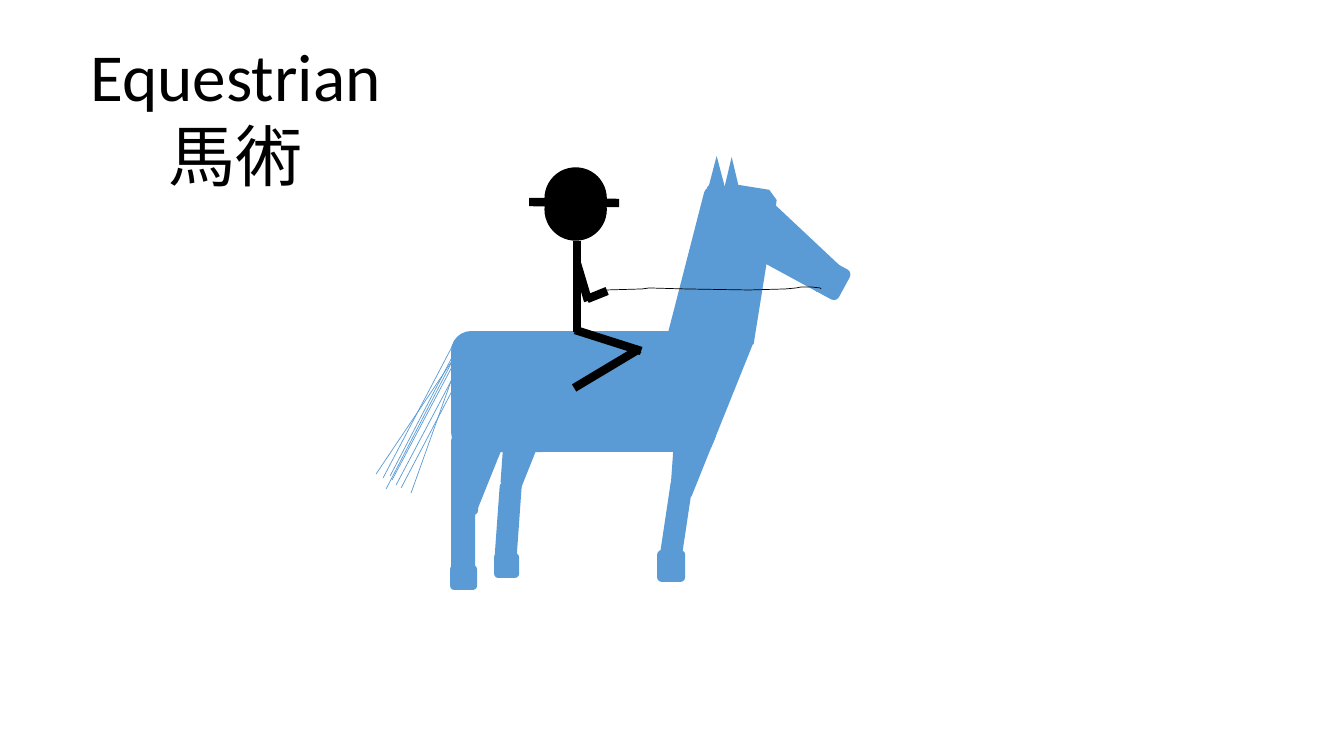
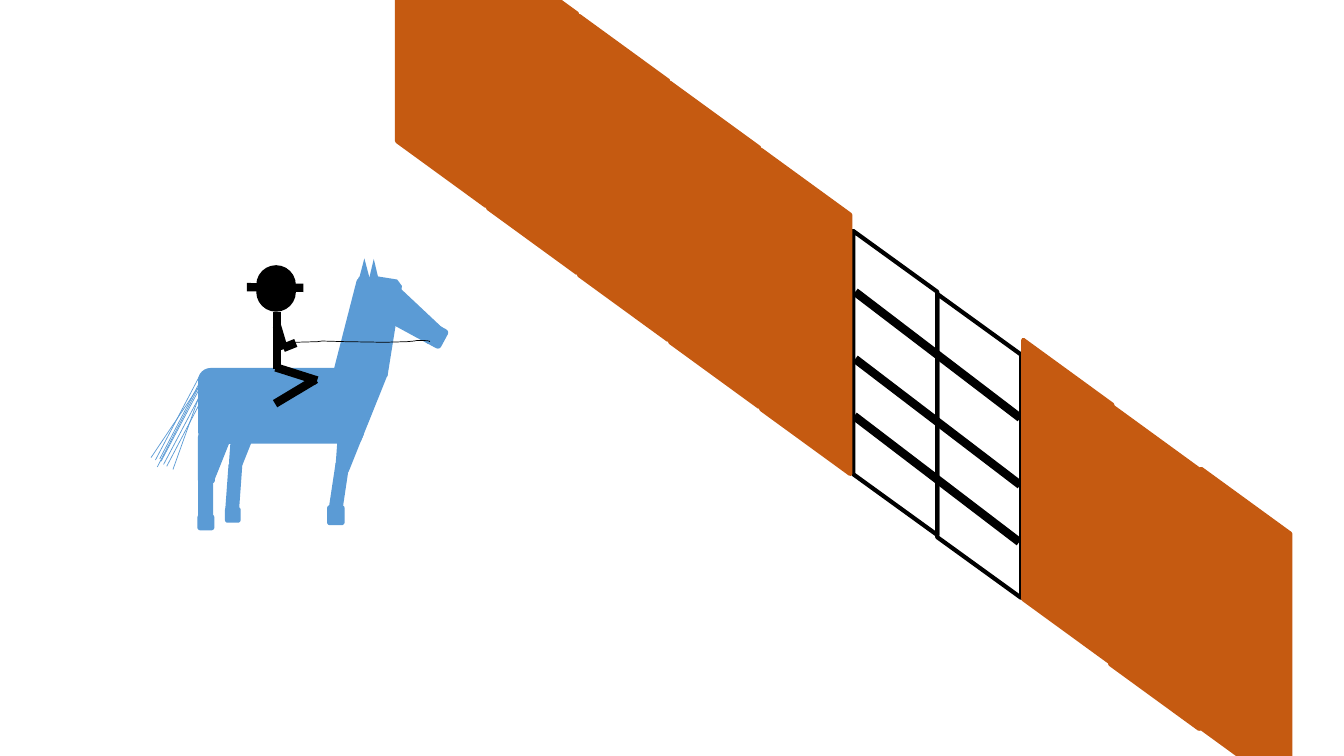
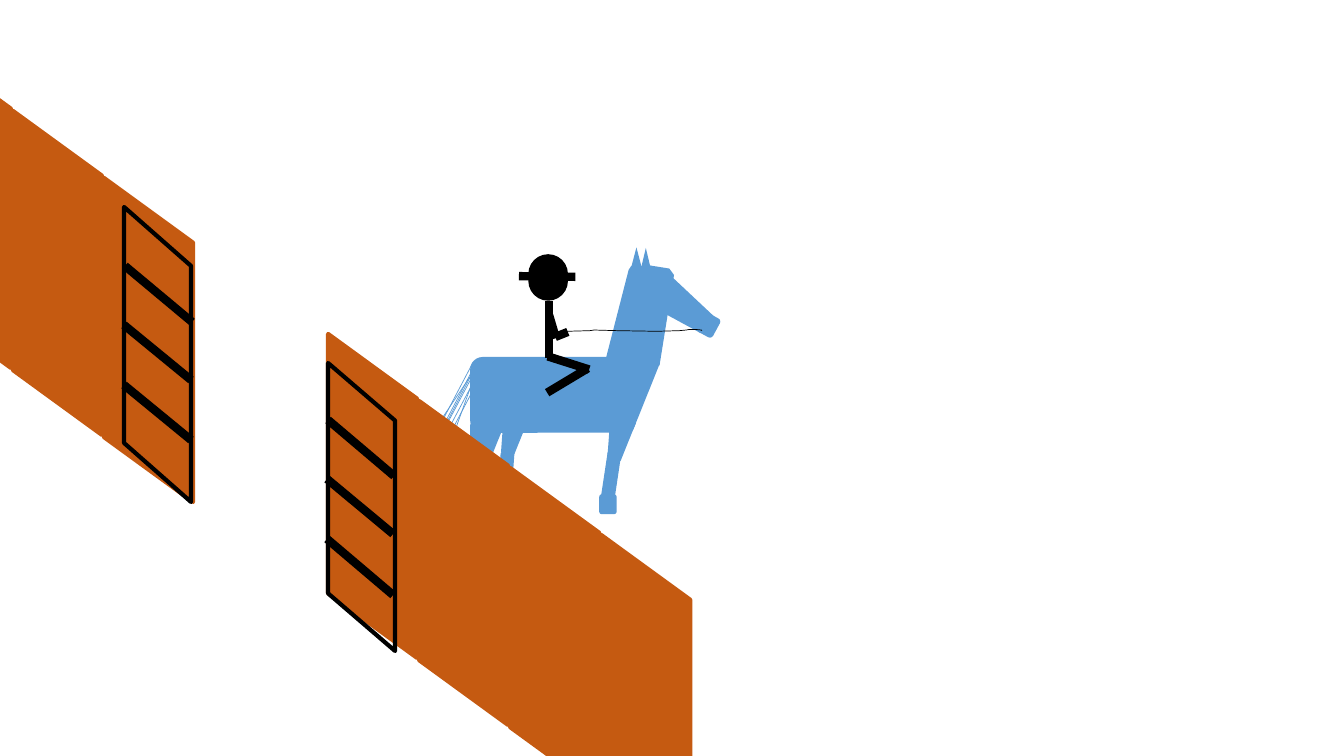
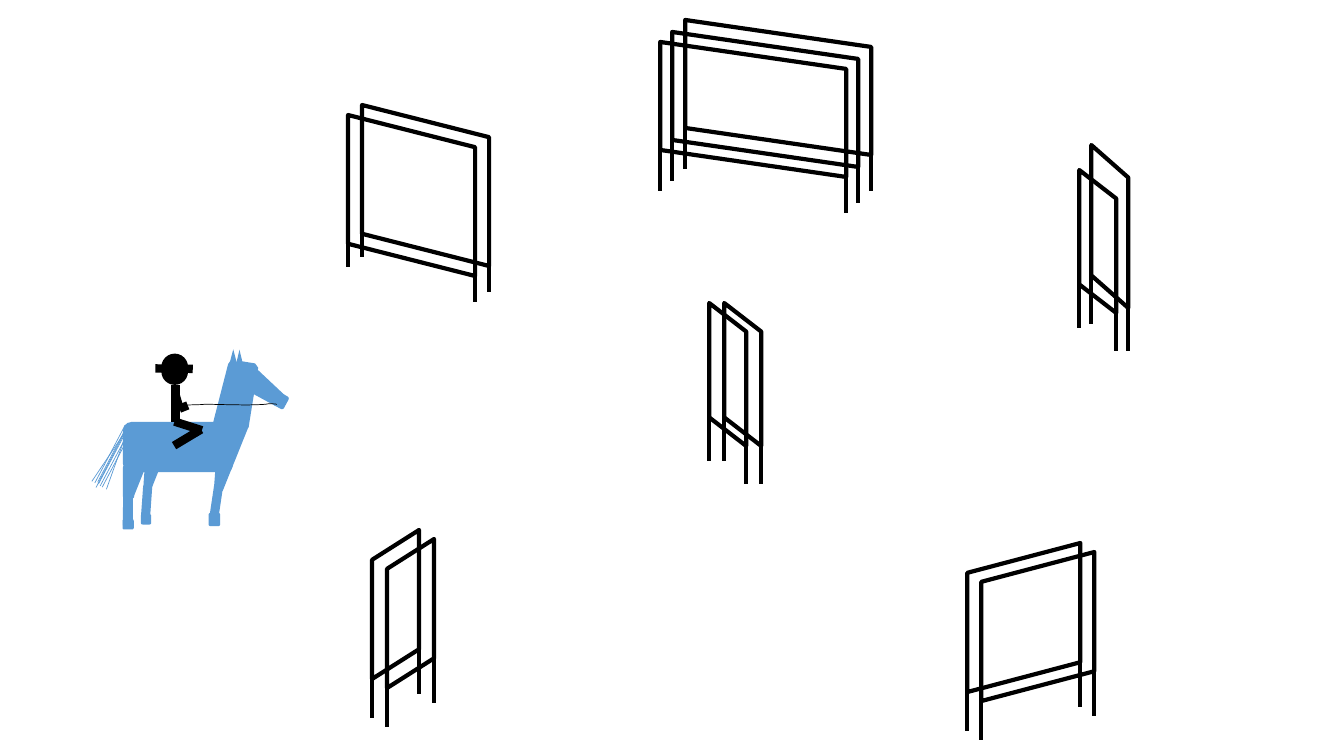
"""Build a four-slide equestrian deck: horse and rider, fences, open gate and hurdles."""
from dataclasses import dataclass

from lxml import etree
from pptx import Presentation
from pptx import util as u
from pptx.dml.color import RGBColor
from pptx.enum import shapes, text
from pptx.oxml.ns import qn


@dataclass(frozen=True)
class Theme:
    font: str = "Calibri"
    title: int = 48
    ink: str = "000000"
    horse: str = "5B9BD5"
    fence: str = "C55A11"
    hair: float = 0.5
    edge: float = 1
    frame: float = 3
    limb: float = 6


LOOK = Theme()
PX = 914400 / 100.8
KIND = shapes.MSO_SHAPE
ROUND, SNIP, EAR = KIND.ROUNDED_RECTANGLE, KIND.SNIP_2_SAME_RECTANGLE, KIND.ISOSCELES_TRIANGLE

TITLE = "Equestrian\n馬術"
TITLE_BOX = (79, 29, 313, 173)

BODY = (451, 331, 265)
HORSE = [
    (SNIP, (712, 186, 54, 155), 9.1),
    (ROUND, (451, 331, 265, 121), 0),
    (ROUND, (451, 436, 27, 79), 0),
    (ROUND, (451, 505, 24, 79), 0),
    (ROUND, (465, 431, 27, 79), 21.9),
    (ROUND, (695, 185, 34, 184), 7.4),
    (SNIP, (772, 183, 35, 119), 133.2),
    (ROUND, (767, 186, 34, 137), 298.5),
    (EAR, (706, 156, 21, 40), 0),
    (EAR, (722, 157, 19, 40), 0),
    (ROUND, (518, 422, 15, 69), 21.9),
    (ROUND, (497, 483, 22, 79), 4.1),
    (ROUND, (503, 407, 22, 79), 4.1),
    (ROUND, (682, 188, 34, 184), 14.4),
    (ROUND, (686, 322, 48, 128), 21.9),
    (ROUND, (689, 429, 15, 69), 21.9),
    (ROUND, (673, 413, 22, 79), 4.1),
    (ROUND, (665, 481, 22, 79), 8.5),
    (ROUND, (657, 550, 28, 32), 0),
    (ROUND, (494, 553, 25, 25), 0),
    (ROUND, (450, 565, 27, 25), 0),
]
TAIL = [
    (466, 339, 411, 493), (469, 347, 396, 485), (462, 338, 390, 476), (458, 350, 386, 489),
    (474, 349, 401, 488), (456, 339, 383, 478), (465, 342, 392, 480), (464, 343, 376, 474),
]
HEAD = [(545, 179, 61, 61), (545, 168, 61, 61)]
LIMBS = [
    (529, 202, 619, 203), (575, 330, 641, 351), (574, 388, 639, 349),
    (577, 264, 588, 301), (577, 241, 577, 332), (587, 299, 607, 291),
]
REIN = [
    (606, 290), (642, 289), (649, 288), (686, 289), (749, 290), (785, 289),
    (796, 288), (801, 287), (811, 287), (820, 288), (821, 289),
]

RIDES = [(451, 331, 265), (198, 368, 166), (470, 357, 166), (123, 422, 110)]

PANEL = (89, 324)
STEP = (91, 67)
NEAR_WALL = [(1023, 340), (1110, 405), (1201, 469)]
SHUT = [(853, 231, 84, 304), (937, 294, 84, 304)]
SHUT_BARS = [(855, 292, 1020, 418), (855, 359, 1020, 485), (854, 416, 1019, 542)]
OPEN = [(124, 207, 67, 295), (328, 363, 67, 288)]
OPEN_BARS = [
    (125, 266, 192, 322), (124, 325, 191, 380), (124, 385, 191, 440),
    (328, 420, 394, 476), (327, 479, 393, 534), (327, 539, 393, 595),
]

HURDLES = [
    ((127, 161), (81, 152), (110, 187), False, [(348, 115), (362, 105)]),
    ((47, 149), (116, 188), (92, 164), True, [(372, 530), (387, 539)]),
    ((37, 143), (89, 158), (112, 181), False, [(709, 303), (724, 303), (1079, 170)]),
    ((186, 135), (83, 149), (105, 171), False, [(660, 42), (672, 32), (685, 20)]),
    ((37, 163), (100, 179), (126, 206), False, [(1091, 145)]),
    ((113, 149), (116, 188), (92, 164), True, [(967, 543), (981, 552)]),
]


def emu(*vals):
    return [round(v * PX) for v in vals]


def paint(item, fill=None, line=None, width=0):
    item.shadow.inherit = False
    if fill:
        item.fill.solid()
        item.fill.fore_color.rgb = RGBColor.from_string(fill)
    else:
        item.fill.background()
    if line:
        item.line.color.rgb = RGBColor.from_string(line)
        item.line.width = u.Pt(width)
    else:
        item.line.fill.background()


def form(page, kind, box, turn=0, **style):
    item = page.shapes.add_shape(kind, *emu(*box))
    item.rotation = turn
    paint(item, **style)
    return item


def stroke(page, ends, color, width):
    item = page.shapes.add_connector(shapes.MSO_CONNECTOR.STRAIGHT, *emu(*ends))
    item.line.color.rgb = RGBColor.from_string(color)
    item.line.width = u.Pt(width)
    etree.SubElement(item._element.spPr, qn("a:effectLst"))


def write(page, words, box, size, color, align=text.PP_ALIGN.CENTER, wrap=False):
    frame = page.shapes.add_textbox(*emu(*box)).text_frame
    frame.word_wrap = wrap
    frame.auto_size = text.MSO_AUTO_SIZE.SHAPE_TO_FIT_TEXT
    frame.text = words
    for para in frame.paragraphs:
        para.alignment = align
        para.font.name = LOOK.font
        para.font.size = u.Pt(size)
        para.font.color.rgb = RGBColor.from_string(color)


def slant(page, box, mirror=False, fill=None, line=LOOK.ink):
    left, top, wide, high = box
    shift = (wide - high) / 2
    item = form(page, KIND.FLOWCHART_DATA, (left + shift, top - shift, high, wide),
                270 if mirror else 90, fill=fill, line=line, width=LOOK.frame)
    if mirror:
        item._element.spPr.find(qn("a:xfrm")).set("flipH", "1")


def ride(page, left, top, wide):
    base_x, base_y, base = BODY
    scale = wide / base

    def spot(x, y):
        return left + (x - base_x) * scale, top + (y - base_y) * scale

    def fit(box):
        return *spot(*box[:2]), box[2] * scale, box[3] * scale

    def span(ends):
        return *spot(*ends[:2]), *spot(*ends[2:])

    for kind, box, turn in HORSE:
        form(page, kind, fit(box), turn, fill=LOOK.horse)
    for ends in TAIL:
        stroke(page, span(ends), LOOK.horse, LOOK.hair)
    for box in HEAD:
        form(page, KIND.OVAL, fit(box), fill=LOOK.ink, line=LOOK.ink, width=LOOK.edge)
    for ends in LIMBS:
        stroke(page, span(ends), LOOK.ink, LOOK.limb)
    first, *rest = [emu(*spot(*point)) for point in REIN]
    pen = page.shapes.build_freeform(*first, scale=1)
    pen.add_line_segments(rest, close=False)
    paint(pen.convert_to_shape(), line=LOOK.ink, width=LOOK.hair)


def row(left, top, count):
    return [(left - STEP[0] * n, top - STEP[1] * n) for n in range(count)]


def wall(page, spots):
    for spot in spots:
        slant(page, (*spot, *PANEL), fill=LOOK.fence, line=LOOK.fence)


def gate(page, leaves, bars):
    for leaf in leaves:
        slant(page, leaf)
    for bar in bars:
        stroke(page, bar, LOOK.ink, LOOK.limb)


def hurdle(page, left, top, size, near, far, mirror):
    slant(page, (left, top, *size), mirror)
    for x, (start, end) in ((left, near), (left + size[0], far)):
        stroke(page, (x, top + start, x, top + end), LOOK.ink, LOOK.frame)


deck = Presentation()
deck.slide_width, deck.slide_height = u.Inches(13.33), u.Inches(7.5)
pages = [deck.slides.add_slide(deck.slide_layouts[6]) for _ in RIDES]
for page, place in zip(pages, RIDES):
    ride(page, *place)
intro, closed, opened, course = pages

write(intro, TITLE, TITLE_BOX, LOOK.title, LOOK.ink)

gate(closed, SHUT, SHUT_BARS)
wall(closed, row(761, 150, 5) + NEAR_WALL)

wall(opened, row(601, 535, 4) + row(104, 178, 3))
gate(opened, OPEN, OPEN_BARS)

for size, near, far, mirror, spots in HURDLES:
    for left, top in spots:
        hurdle(course, left, top, size, near, far, mirror)

deck.save("out.pptx")
